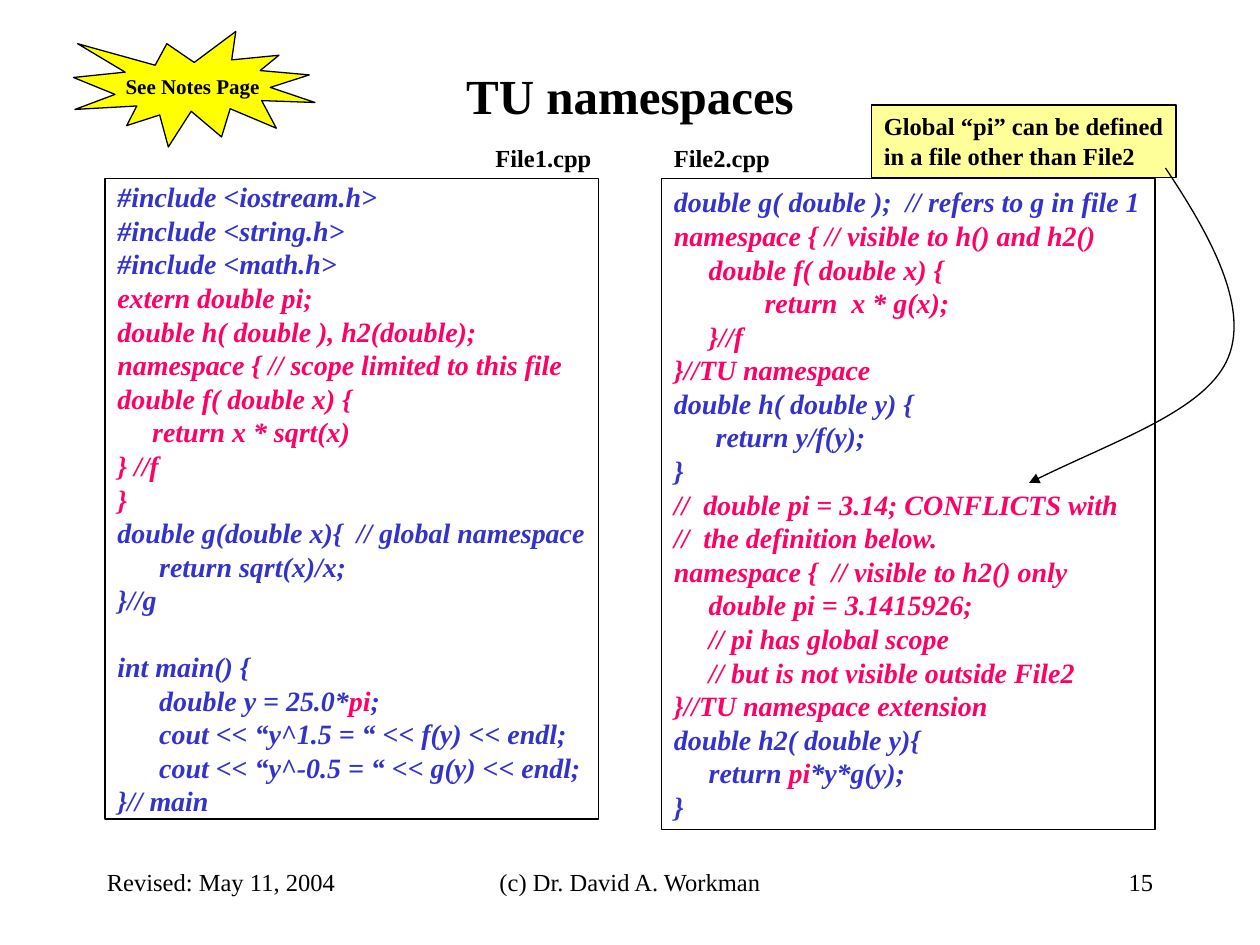
from dataclasses import dataclass

from lxml.etree import SubElement
from pptx import Presentation
from pptx.dml.color import RGBColor as Rgb
from pptx.enum.shapes import MSO_SHAPE as Shape
from pptx.enum.text import MSO_ANCHOR as Anchor, MSO_AUTO_SIZE as AutoSize, PP_ALIGN as Align
from pptx.oxml.ns import qn
from pptx.util import Inches, Pt


@dataclass(frozen=True)
class Theme:
    face: str = "Times New Roman"
    ink: str = "000000"
    code: str = "3333CC"
    accent: str = "FF0066"
    paper: str = "FFFFFF"
    burst: str = "FFFF00"
    note: str = "FFFF99"
    title_size: int = 28
    code_size: int = 16
    label_size: int = 14
    burst_size: int = 12
    line: float = 0.75
    blank_line: int = 19


theme = Theme()
deck = Presentation()
deck.slide_width, deck.slide_height = Inches(10), Inches(7.5)
unit = deck.slide_width // 120  # grid of 120 columns by 90 rows
page = deck.slides.add_slide(deck.slide_layouts[5])


def style(para, size, color=theme.ink, bold=True, italic=False, align=Align.LEFT):
    para.alignment = align
    font = para.font
    font.name, font.size = theme.face, Pt(size)
    font.bold, font.italic = bold, italic
    font.color.rgb = Rgb.from_string(color)


def add_panel(kind, fill, *cells):
    """Add an outlined, filled shape placed in grid cells: left, top, width, height."""
    panel = page.shapes.add_shape(kind, *(cell * unit for cell in cells))
    panel.shadow.inherit = False
    panel.fill.solid()
    panel.fill.fore_color.rgb = Rgb.from_string(fill)
    panel.line.color.rgb = Rgb.from_string(theme.ink)
    panel.line.width = Pt(theme.line)
    panel.text_frame.word_wrap = False
    return panel


# Title
title = page.shapes.title
title.left, title.top, title.width, title.height = (cell * unit for cell in (9, 5, 102, 8))
title.text_frame.text = "TU namespaces"
title.text_frame.vertical_anchor = Anchor.MIDDLE
style(title.text_frame.paragraphs[0], theme.title_size, align=Align.CENTER)

# Code listings: coloured blocks of lines, with |accented| words inside a line
file1 = [
    (theme.code, """#include <iostream.h>
#include <string.h>
#include <math.h>"""),
    (theme.accent, """extern double pi;
double h( double ), h2(double);
namespace { // scope limited to this file
double f( double x) {
     return x * sqrt(x)
} //f
}"""),
    (theme.code, """double g(double x){  // global namespace
      return sqrt(x)/x;
}//g

int main() {
      double y = 25.0*|pi|;
      cout << “y^1.5 = “ << f(y) << endl;
      cout << “y^-0.5 = “ << g(y) << endl;
}// main"""),
]
file2 = [
    (theme.code, "double g( double );  // refers to g in file 1"),
    (theme.accent, """namespace { // visible to h() and h2()
     double f( double x) {
             return  x * g(x);
     }//f
}//TU namespace"""),
    (theme.code, """double h( double y) {
      return y/f(y);
}"""),
    (theme.accent, """//  double pi = 3.14; CONFLICTS with
//  the definition below.
namespace {  // visible to h2() only
     double pi = 3.1415926;
     // pi has global scope
     // but is not visible outside File2
}//TU namespace extension"""),
    (theme.code, """double h2( double y){
     return |pi|*y*g(y);
}"""),
]
for left, height, blocks in ((10, 61, file1), (63, 62, file2)):
    frame = add_panel(Shape.RECTANGLE, theme.paper, left, 17, 47, height).text_frame
    frame.vertical_anchor = Anchor.MIDDLE
    lines = [(color, line) for color, block in blocks for line in block.splitlines()]
    para, gap = frame.paragraphs[0], 0
    for number, (color, line) in enumerate(lines):
        if not line:
            gap = theme.blank_line
            continue
        if number:
            para = frame.add_paragraph()
        if gap:
            para.space_before, gap = Pt(gap), 0
        style(para, theme.code_size, color, italic=True)
        for index, piece in enumerate(line.split("|")):
            span = para.add_run()
            span.text = piece
            if index % 2:
                span.font.color.rgb = Rgb.from_string(theme.accent)

# Burst and callout
burst = add_panel(Shape.EXPLOSION1, theme.burst, 7, 3, 23, 11).text_frame
burst.text = "See Notes Page"
burst.vertical_anchor = Anchor.MIDDLE
style(burst.paragraphs[0], theme.burst_size, align=Align.CENTER)

callout = add_panel(Shape.RECTANGLE, theme.note, 83, 10, 29, 6.9).text_frame
callout.text = "Global “pi” can be defined\vin a file other than File2"
callout.vertical_anchor = Anchor.TOP
callout.margin_right = 0  # room for the longest line
callout.auto_size = AutoSize.SHAPE_TO_FIT_TEXT
style(callout.paragraphs[0], theme.label_size)

# File names and footer
labels = [
    ("File1.cpp", 46, 13, 11.5, 4, True, Align.LEFT),
    ("File2.cpp", 63, 13, 11.5, 4, True, Align.LEFT),
    ("(c) Dr. David A. Workman", 41, 82, 38, 6, False, Align.CENTER),
    ("15", 86, 82, 25, 6, False, Align.RIGHT),
    ("Revised: May 11, 2004", 9, 82, 25, 6, False, Align.LEFT),
]
for text, left, top, width, height, is_file, align in labels:
    box = page.shapes.add_textbox(left * unit, top * unit, width * unit, height * unit)
    frame = box.text_frame
    frame.text = text
    frame.word_wrap = not is_file
    if is_file:
        frame.margin_right = 0
    style(frame.paragraphs[0], theme.label_size, bold=is_file, align=align)

# Curved arrow from the callout to the second definition of pi:
# each three points after the start become one Bézier segment
start, *controls = [(111, 16), (115, 22.5), (119, 29), (117, 34),
                    (115, 39), (106.5, 42.5), (98, 46)]
builder = page.shapes.build_freeform(*start, scale=unit)
builder.add_line_segments(controls, close=False)
arrow = builder.convert_to_shape()
arrow.shadow.inherit = False
arrow.fill.background()
arrow.line.color.rgb = Rgb.from_string(theme.ink)
arrow.line.width = Pt(theme.line)
SubElement(arrow.line._get_or_add_ln(), qn("a:tailEnd"), type="triangle")
steps = list(arrow._element.iter(qn("a:lnTo")))
outline = steps[0].getparent()
for first in range(0, len(steps), 3):
    curve = SubElement(outline, qn("a:cubicBezTo"))
    for step in steps[first:first + 3]:
        curve.append(step[0])
        outline.remove(step)

deck.save("out.pptx")
